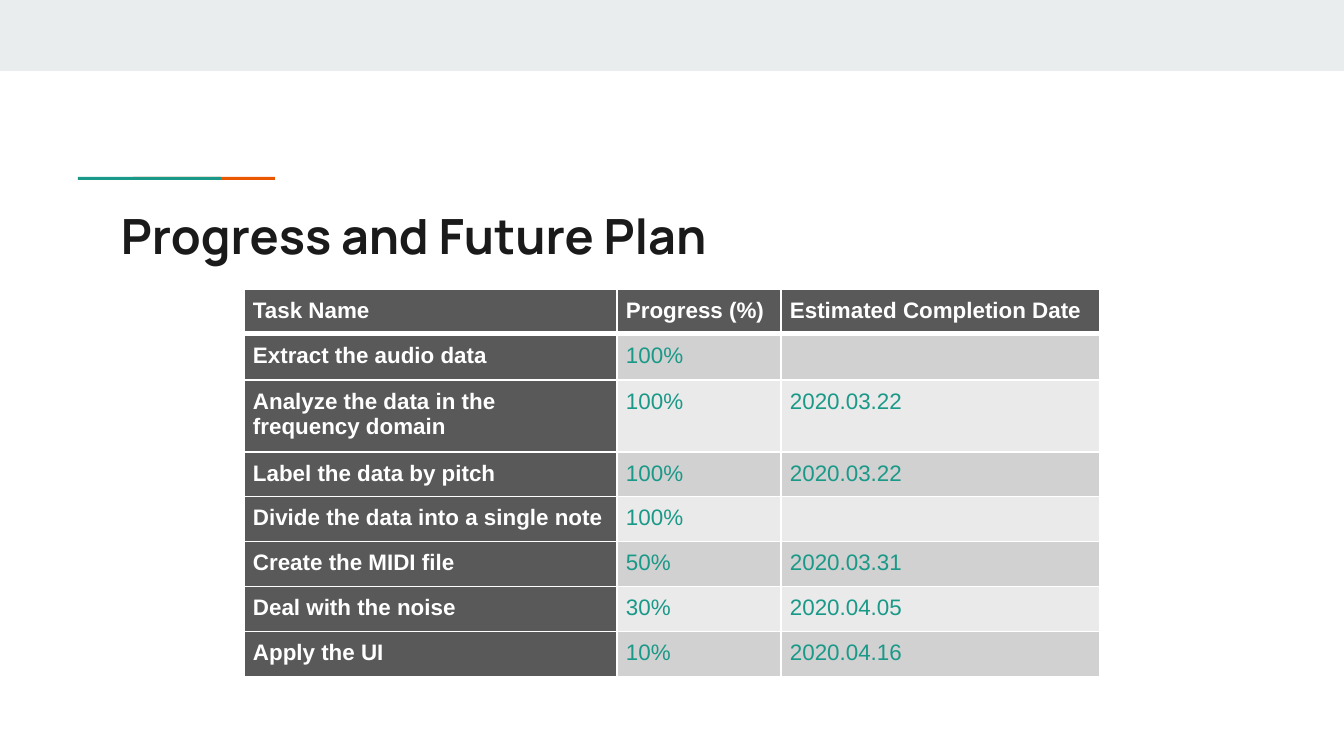
from lxml import etree
from pptx import Presentation, util as u
from pptx.dml.color import RGBColor
from pptx.enum import shapes, text
from pptx.oxml import ns

PX = 914400 / 134.4

WHITE = RGBColor(0xFF, 0xFF, 0xFF)
INK = RGBColor(0x1A, 0x1A, 0x1A)
TEAL = RGBColor(0x1A, 0x99, 0x88)
ORANGE = RGBColor(0xEB, 0x56, 0x00)
BAND = RGBColor(0xE9, 0xED, 0xEE)
HEADER = RGBColor(0x59, 0x59, 0x59)
ROW_FILLS = (RGBColor(0xD1, 0xD1, 0xD1), RGBColor(0xEA, 0xEA, 0xEA))

TITLE = "Progress and Future Plan"
BARS = [  # left, top, width, height, colour
    (0, 0, 1344, 71, BAND),
    (133, 177, 142, 3, ORANGE),
    (78, 177, 143, 3, TEAL),
]
TASKS = [
    ("Task Name", "Progress (%)", "Estimated Completion Date"),
    ("Extract the audio data", "100%", ""),
    ("Analyze the data in the frequency domain", "100%", "2020.03.22"),
    ("Label the data by pitch", "100%", "2020.03.22"),
    ("Divide the data into a single note", "100%", ""),
    ("Create the MIDI file", "50%", "2020.03.31"),
    ("Deal with the noise", "30%", "2020.04.05"),
    ("Apply the UI", "10%", "2020.04.16"),
]
TABLE_LEFT, TABLE_TOP = 244, 289
COLUMN_WIDTHS = (373, 164, 319)
ROW_HEIGHTS = (43, 46, 69, 44, 45, 44, 44, 44)
CELL_INSET = 9


def px(length):
    return u.Emu(round(length * PX))


def write(frame, words, *, size, color, font="Arial", bold=False, inset):
    frame.word_wrap = True
    frame.margin_left = frame.margin_right = px(inset)
    frame.margin_top = frame.margin_bottom = px(inset)
    paragraph = frame.paragraphs[0]
    if not words:  # the end mark alone sets the height of an empty line
        end = etree.SubElement(paragraph._p, ns.qn("a:endParaRPr"))
        end.set("sz", str(size * 100))
        return
    run = paragraph.add_run()
    run.text = words
    run.font.size = u.Pt(size)
    run.font.name = font
    run.font.bold = bold
    run.font.color.rgb = color


def add_borders(cell, bottom):
    """Draw white cell edges, 1 pt wide except for the given sides."""
    properties = cell._tc.get_or_add_tcPr()
    widths = {"lnL": 1, "lnR": 1, "lnT": 1, "lnB": bottom}
    for index, (side, width) in enumerate(widths.items()):
        line = etree.Element(ns.qn(f"a:{side}"), w=str(u.Pt(width)))
        fill = etree.SubElement(line, ns.qn("a:solidFill"))
        etree.SubElement(fill, ns.qn("a:srgbClr"), val=str(WHITE))
        properties.insert(index, line)


def add_bar(slide, left, top, width, height, color):
    bar = slide.shapes.add_shape(
        shapes.MSO_SHAPE.RECTANGLE, px(left), px(top), px(width), px(height))
    bar.shadow.inherit = False
    bar.fill.solid()
    bar.fill.fore_color.rgb = color
    bar.line.fill.background()


def add_task_table(slide):
    table = slide.shapes.add_table(
        len(TASKS), len(COLUMN_WIDTHS), px(TABLE_LEFT), px(TABLE_TOP),
        px(sum(COLUMN_WIDTHS)), px(sum(ROW_HEIGHTS))).table
    table.first_row = True
    table.first_col = True
    table.horz_banding = False
    for column, width in zip(table.columns, COLUMN_WIDTHS):
        column.width = px(width)
    for row, height in zip(table.rows, ROW_HEIGHTS):
        row.height = px(height)
    for r, task in enumerate(TASKS):
        for c, words in enumerate(task):
            heading = r == 0 or c == 0
            cell = table.cell(r, c)
            write(cell.text_frame, words, size=12, bold=heading,
                  color=WHITE if heading else TEAL, inset=CELL_INSET)
            cell.margin_left = cell.margin_right = px(CELL_INSET)
            cell.margin_top = cell.margin_bottom = px(CELL_INSET)
            cell.fill.solid()
            cell.fill.fore_color.rgb = HEADER if heading else ROW_FILLS[(r - 1) % 2]
            add_borders(cell, bottom=3 if r == 0 else 1)


def main():
    presentation = Presentation()
    presentation.slide_width = px(1344)
    presentation.slide_height = px(756)
    slide = presentation.slides.add_slide(presentation.slide_layouts[6])
    for bar in BARS:
        add_bar(slide, *bar)
    title = slide.shapes.add_textbox(px(108), px(193), px(1130), px(79))
    title.text_frame.vertical_anchor = text.MSO_ANCHOR.TOP
    write(title.text_frame, TITLE, size=26, color=INK, font="Manrope",
          bold=True, inset=13)
    add_task_table(slide)
    presentation.save("out.pptx")


if __name__ == "__main__":
    main()
